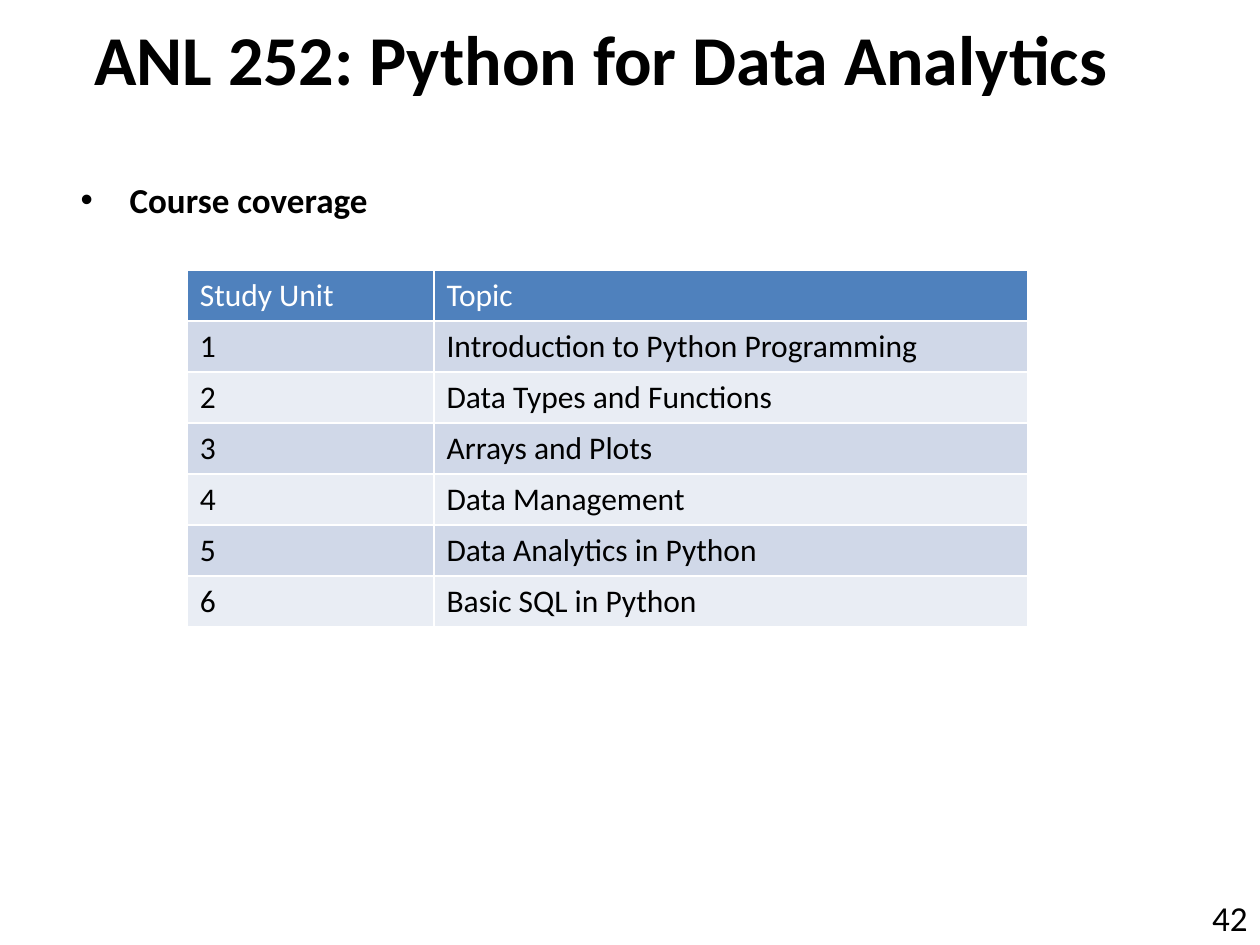
from lxml import etree
from pptx import Presentation
from pptx.dml.color import RGBColor
from pptx.enum.text import MSO_ANCHOR, PP_ALIGN
from pptx.oxml.ns import qn
from pptx.util import Pt

TOP, MID, LOW = MSO_ANCHOR.TOP, MSO_ANCHOR.MIDDLE, MSO_ANCHOR.BOTTOM
LEFT, RIGHT = PP_ALIGN.LEFT, PP_ALIGN.RIGHT
BLACK = RGBColor(0, 0, 0)
WHITE = RGBColor(255, 255, 255)
BLUE = RGBColor(0x4F, 0x81, 0xBD)
BANDS = RGBColor(0xD0, 0xD8, 0xE8), RGBColor(0xE9, 0xED, 0xF4)
FONT = "Calibri"

TOPICS = [
    "Introduction to Python Programming",
    "Data Types and Functions",
    "Arrays and Plots",
    "Data Management",
    "Data Analytics in Python",
    "Basic SQL in Python",
]


def put_text(frame, text, size=18, color=BLACK, bold=False, align=LEFT, anchor=TOP):
    frame.word_wrap = True
    frame.vertical_anchor = anchor
    para = frame.paragraphs[0]
    para.alignment = align
    run = para.add_run()
    run.text = text
    font = run.font
    font.name, font.size, font.bold = FONT, Pt(size), bold
    font.color.rgb = color
    return para


def add_box(slide, box):
    return slide.shapes.add_textbox(*map(Pt, box)).text_frame


def add_title(slide, box):
    put_text(add_box(slide, box), "ANL 252: Python for Data Analytics",
             size=40, bold=True, anchor=MID)


def add_body(slide, box):
    para = put_text(add_box(slide, box), "Course coverage", size=20, bold=True)
    para.space_before = Pt(12)
    props = para._p.get_or_add_pPr()
    props.set("marL", str(Pt(28)))
    props.set("indent", str(-Pt(28)))
    etree.SubElement(props, qn("a:buFont")).set("typeface", "Arial")
    etree.SubElement(props, qn("a:buChar")).set("char", "•")


def add_units(slide, box):
    rows = [("Study Unit", "Topic")]
    rows += [(str(num), topic) for num, topic in enumerate(TOPICS, 1)]
    table = slide.shapes.add_table(len(rows), 2, *map(Pt, box)).table
    width, height = box[2:]
    first = 141
    table.columns[0].width = Pt(first)
    table.columns[1].width = Pt(width - first)
    for i, row in enumerate(rows):
        table.rows[i].height = Pt(round(height / len(rows), 2))
        for j, text in enumerate(row):
            cell = table.cell(i, j)
            cell.fill.solid()
            cell.fill.fore_color.rgb = BANDS[(i - 1) % 2] if i else BLUE
            put_text(cell.text_frame, text, color=BLACK if i else WHITE)


def add_number(slide, box):
    put_text(add_box(slide, box), "42", size=20, align=RIGHT, anchor=LOW)


def main():
    deck = Presentation()
    deck.slide_width, deck.slide_height = Pt(720), Pt(540)
    slide = deck.slides.add_slide(deck.slide_layouts[6])
    add_number(slide, (621.5, 501, 98.5, 39))
    add_title(slide, (46.8, 0, 637, 66))
    add_body(slide, (39, 98.6, 667, 357))
    add_units(slide, (107, 154.4, 480, 204))
    deck.save("out.pptx")


if __name__ == "__main__":
    main()
